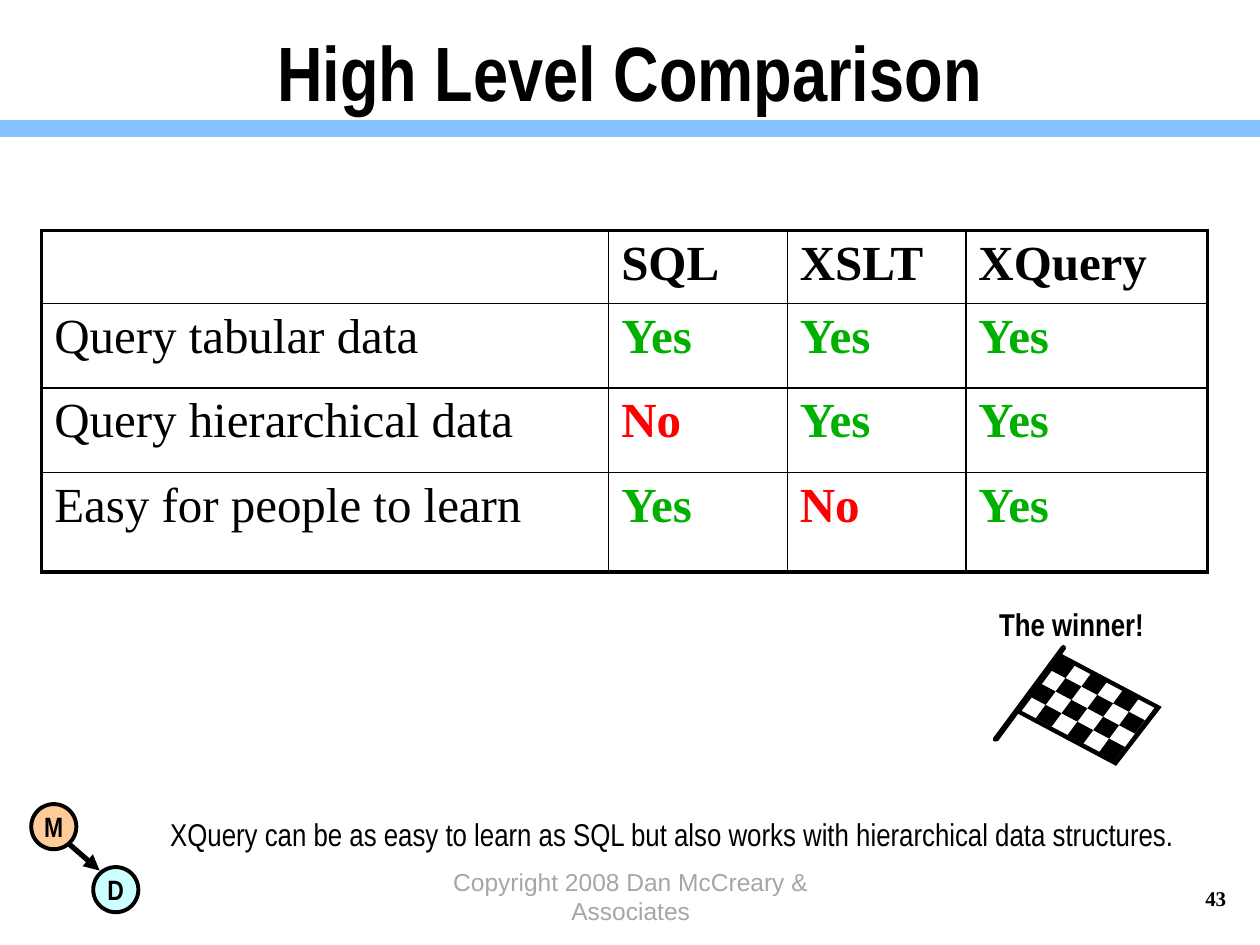
from lxml import etree
from pptx import Presentation
from pptx.dml.color import RGBColor
from pptx.enum.shapes import MSO_CONNECTOR, MSO_SHAPE
from pptx.enum.text import MSO_ANCHOR, MSO_AUTO_SIZE, PP_ALIGN
from pptx.oxml import parse_xml
from pptx.oxml.ns import nsdecls, qn
from pptx.util import Cm, Pt

COLORS = {
    "black": "000000", "white": "FFFFFF", "rule": "85C2FF", "footer": "A6A6A6",
    "model": "FFCC99", "data": "CCFFFF", "Yes": "00B000", "No": "FF0000",
}


def write(frame, text, size, font, color="black", bold=False, align=PP_ALIGN.LEFT):
    frame.text = text
    paragraph = frame.paragraphs[0]
    paragraph.alignment = align
    paragraph.font.size = Pt(size)
    paragraph.font.name = font
    paragraph.font.bold = bold
    paragraph.font.color.rgb = RGBColor.from_string(COLORS[color])


def add_polygon(shapes, points, color):
    corners = [(Cm(x), Cm(y)) for x, y in points]
    builder = shapes.build_freeform(*corners[0])
    builder.add_line_segments(corners[1:])
    polygon = builder.convert_to_shape()
    polygon.shadow.inherit = False
    polygon.fill.solid()
    polygon.fill.fore_color.rgb = RGBColor.from_string(COLORS[color])
    polygon.line.fill.background()


presentation = Presentation()
presentation.slide_width = Cm(25.4)
presentation.slide_height = Cm(19.05)
slide = presentation.slides.add_slide(presentation.slide_layouts[5])
shapes = slide.shapes

for letter, left, top, color in [("M", 0.63, 16.21, "model"), ("D", 1.88, 17.48, "data")]:
    circle = shapes.add_shape(MSO_SHAPE.OVAL, Cm(left), Cm(top), Cm(0.91), Cm(0.91))
    circle.shadow.inherit = False
    circle.fill.solid()
    circle.fill.fore_color.rgb = RGBColor.from_string(COLORS[color])
    circle.line.color.rgb = RGBColor.from_string(COLORS["black"])
    circle.line.width = Pt(2.25)
    circle.text_frame.word_wrap = False
    circle.text_frame.vertical_anchor = MSO_ANCHOR.MIDDLE
    write(circle.text_frame, letter, 16, "Arial Narrow", bold=True, align=PP_ALIGN.CENTER)

for start_x, start_y, end_x, end_y, color, width, arrow in [
    (1.4, 17.02, 2.01, 17.55, "black", 3, True),
    (0, 2.59, 25.4, 2.59, "rule", 10, False),
]:
    connector = shapes.add_connector(
        MSO_CONNECTOR.STRAIGHT, Cm(start_x), Cm(start_y), Cm(end_x), Cm(end_y))
    connector.line.color.rgb = RGBColor.from_string(COLORS[color])
    connector.line.width = Pt(width)
    if arrow:
        etree.SubElement(connector.line._get_or_add_ln(), qn("a:tailEnd"), type="triangle")
    etree.SubElement(connector._element.spPr, qn("a:effectLst"))

title = shapes.title
title.left, title.top, title.width, title.height = Cm(1.27), Cm(0.3), Cm(22.86), Cm(2.24)
title.text_frame.auto_size = MSO_AUTO_SIZE.NONE
title.text_frame.vertical_anchor = MSO_ANCHOR.MIDDLE
write(title.text_frame, "High Level Comparison", 44, "Arial Narrow",
      bold=True, align=PP_ALIGN.CENTER)

rows = [
    ["", "SQL", "XSLT", "XQuery"],
    ["Query tabular data", "Yes", "Yes", "Yes"],
    ["Query hierarchical data", "No", "Yes", "Yes"],
    ["Easy for people to learn", "Yes", "No", "Yes"],
]
column_widths = [11.43, 3.6, 3.6, 4.87]
row_heights = [1.47, 1.7, 1.7, 2.01]
table = shapes.add_table(len(rows), len(column_widths), Cm(0.84), Cm(4.65),
                         Cm(sum(column_widths)), Cm(sum(row_heights))).table
for column, width in zip(table.columns, column_widths):
    column.width = Cm(width)
for row, height in zip(table.rows, row_heights):
    row.height = Cm(height)

last_row, last_column = len(rows) - 1, len(column_widths) - 1
for row_index, row in enumerate(rows):
    for column_index, text in enumerate(row):
        cell = table.cell(row_index, column_index)
        color = text if text in COLORS else "black"
        write(cell.text_frame, text, 28, "Times New Roman", color, bold=column_index > 0)
        outer_sides = {
            "lnL": column_index == 0, "lnR": column_index == last_column,
            "lnT": row_index == 0, "lnB": row_index == last_row,
        }
        for side, outer in outer_sides.items():
            border_width = Pt(2.25 if outer else 1)
            cell._tc.get_or_add_tcPr().append(parse_xml(
                f'<a:{side} {nsdecls("a")} w="{border_width}"><a:solidFill>'
                f'<a:srgbClr val="{COLORS["black"]}"/></a:solidFill></a:{side}>'))
        cell.fill.background()

labels = [
    ("Copyright 2008 Dan McCreary & Associates", 8.69, 17.35, 8.05, 1.32,
     14, "Arial", "footer", False, PP_ALIGN.CENTER, True),
    ("43", 19.05, 17.73, 5.92, 1.32,
     12, "Times New Roman", "black", True, PP_ALIGN.RIGHT, True),
    ("XQuery can be as easy to learn as SQL but also works with hierarchical data structures.",
     3.18, 16.31, 20.83, 1.02, 18, "Arial Narrow", "black", False, PP_ALIGN.LEFT, False),
    ("The winner!", 19.89, 12.07, 3.43, 1.02,
     18, "Arial Narrow", "black", True, PP_ALIGN.LEFT, False),
]
for text, left, top, width, height, size, font, color, bold, align, wrap in labels:
    frame = shapes.add_textbox(Cm(left), Cm(top), Cm(width), Cm(height)).text_frame
    frame.word_wrap = wrap
    write(frame, text, size, font, color, bold, align)

flag_edge = [(21.36, 13.16), (23.42, 14.25), (22.5, 15.44), (20.45, 14.35)]
flag_field = [(21.39, 13.28), (23.27, 14.27), (22.48, 15.32), (20.6, 14.33)]
flag_pole = [(21.39, 13.03), (20.02, 14.88), (20.02, 14.93), (20.06, 14.95),
             (20.12, 14.94), (21.49, 13.08), (21.48, 13.03), (21.44, 13)]
add_polygon(shapes, flag_edge, "black")
add_polygon(shapes, flag_field, "white")
for check_row in range(4):
    for check_column in range(check_row % 2, 6, 2):
        corners = [(check_column + across, check_row + down)
                   for across, down in [(0, 0), (1, 0), (1, 1), (0, 1)]]
        add_polygon(shapes, [(21.36 + 0.32 * across - 0.2 * down,
                              13.23 + 0.17 * across + 0.27 * down)
                             for across, down in corners], "black")
add_polygon(shapes, flag_pole, "black")

presentation.save("out.pptx")
